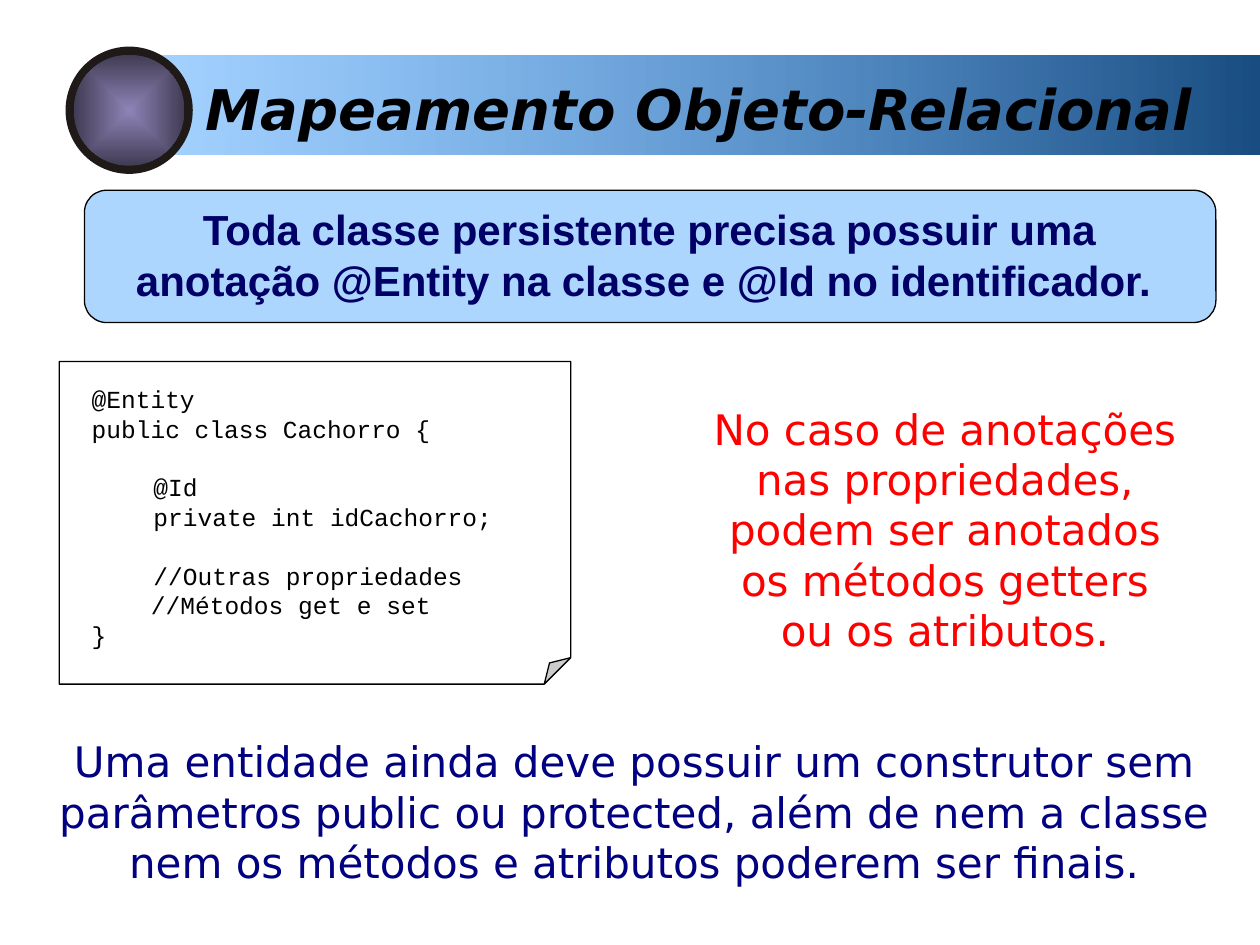
from lxml import etree
from pptx import Presentation
from pptx.dml.color import RGBColor
from pptx.enum.shapes import MSO_SHAPE
from pptx.enum.text import PP_ALIGN
from pptx.oxml import parse_xml
from pptx.oxml.ns import qn
from pptx.util import Inches, Pt

RECT, OVAL = MSO_SHAPE.RECTANGLE, MSO_SHAPE.OVAL
ROUNDED, NOTE = MSO_SHAPE.ROUNDED_RECTANGLE, MSO_SHAPE.FOLDED_CORNER
LEFT, CENTER = PP_ALIGN.LEFT, PP_ALIGN.CENTER

BLACK = RGBColor(0x00, 0x00, 0x00)
WHITE = RGBColor(0xFF, 0xFF, 0xFF)
DEEP_BLUE = RGBColor(0x19, 0x4D, 0x81)
SKY_BLUE = RGBColor(0x33, 0x99, 0xFF)
RING = RGBColor(0x1F, 0x1A, 0x17)
LILAC = RGBColor(0x8E, 0x84, 0xB7)
DARK_PURPLE = RGBColor(0x41, 0x3C, 0x54)
INDIGO = RGBColor(0x00, 0x00, 0x66)
NAVY = RGBColor(0x00, 0x00, 0x80)
RED = RGBColor(0xFF, 0x00, 0x00)

DRAWING_NS = "http://schemas.openxmlformats.org/drawingml/2006/main"
LINE_PITCH = 1.2  # line height as a multiple of the font size
HORIZONTAL = '<a:lin ang="10800000" scaled="0"/>'
FROM_CENTER = ('<a:path path="rect"><a:fillToRect l="50000" t="50000" '
               'r="50000" b="50000"/></a:path>')

TITLE_STYLE = {"name": "DejaVu Sans", "size": Pt(32), "bold": True, "italic": True}
RULE_STYLE = {"name": "Arial", "size": Pt(24), "bold": True}
BODY_STYLE = {"name": "DejaVu Sans", "size": Pt(24)}
CODE_STYLE = {"name": "Courier New", "size": Pt(14)}

# Code lines: text, indent in inches, blank lines before
CODE_LINES = [
    ("@Entity", 0, 0),
    ("public class Cachorro {", 0, 0),
    ("@Id", 0.49, 1),
    ("private int idCachorro;", 0.49, 0),
    ("//Outras propriedades", 0.49, 1),
    ("//Métodos get e set", 0.47, 0),
    ("}", 0, 0),
]


def set_alpha(color_element, percent):
    etree.SubElement(color_element, qn("a:alpha"), val=str(percent * 1000))


def set_corner(shape, percent):
    # The folded corner offers no adjustments, so its guide is written directly
    guides = shape._element.spPr.find(qn("a:prstGeom")).get_or_add_avLst()
    for guide in list(guides):
        guides.remove(guide)
    etree.SubElement(guides, qn("a:gd"), name="adj", fmla=f"val {round(percent * 1000)}")


def set_gradient(shape, start, end, direction, end_alpha=100):
    gradient = parse_xml(
        f'<a:gradFill xmlns:a="{DRAWING_NS}" rotWithShape="1"><a:gsLst>'
        f'<a:gs pos="0"><a:srgbClr val="{start}"/></a:gs>'
        f'<a:gs pos="100000"><a:srgbClr val="{end}"/></a:gs>'
        f'</a:gsLst>{direction}</a:gradFill>')
    if end_alpha < 100:
        set_alpha(gradient.findall(".//" + qn("a:srgbClr"))[-1], end_alpha)
    solid = shape._element.spPr.find(qn("a:solidFill"))
    solid.getparent().replace(solid, gradient)


def add_panel(slide, kind, box, fill, outline=None, corner=None):
    panel = slide.shapes.add_shape(kind, *map(Inches, box))
    panel.shadow.inherit = False
    panel.fill.solid()
    panel.fill.fore_color.rgb = fill
    if outline is None:
        panel.line.fill.background()
    else:
        panel.line.color.rgb = outline
        panel.line.width = Pt(0.75)
    if corner is not None:
        set_corner(panel, corner)
    return panel


def add_text(slide, box, lines, style, color, align=LEFT):
    frame = slide.shapes.add_textbox(*map(Inches, box)).text_frame
    frame.word_wrap = True
    pitch = Pt(style["size"].pt * LINE_PITCH)
    for index, (text, indent, blanks) in enumerate(lines):
        paragraph = frame.paragraphs[0] if index == 0 else frame.add_paragraph()
        paragraph.alignment = align
        paragraph.line_spacing = pitch
        paragraph.space_before = pitch * blanks
        if indent:
            paragraph._p.get_or_add_pPr().set("marL", str(Inches(indent)))
        run = paragraph.add_run()
        run.text = text
        for attribute, value in style.items():
            setattr(run.font, attribute, value)
        run.font.color.rgb = color


def add_header(slide, left, top, width, height):
    band_left, band_top = left + 0.7, top + 0.07
    band = add_panel(slide, RECT, (band_left, band_top, width - 0.7, 0.79), DEEP_BLUE)
    set_gradient(band, DEEP_BLUE, SKY_BLUE, HORIZONTAL, end_alpha=44)
    add_text(slide, (left + 1.01, top + 0.17, width - 1.01, 0.64),
             [("Mapeamento Objeto-Relacional", 0, 0)], TITLE_STYLE, BLACK)
    # Round emblem over the start of the band
    rim = 0.065
    disc_size = height - 2 * rim
    add_panel(slide, OVAL, (left, top, height, height), RING)
    disc = add_panel(slide, OVAL, (left + rim, top + rim, disc_size, disc_size), LILAC)
    set_gradient(disc, LILAC, DARK_PURPLE, FROM_CENTER)


def add_rule(slide, left, top, width, height):
    panel = add_panel(slide, ROUNDED, (left, top, width, height), SKY_BLUE, BLACK, 16.7)
    set_alpha(panel._element.spPr.find(qn("a:solidFill"))[0], 40)
    rule = ("Toda classe persistente precisa possuir uma anotação @Entity "
            "na classe e @Id no identificador. ")
    add_text(slide, (left + 0.09, top + 0.06, width - 0.19, height - 0.15),
             [(rule, 0, 0)], RULE_STYLE, INDIGO, CENTER)


def add_code_note(slide, left, top, width, height):
    add_panel(slide, NOTE, (left, top, width, height), WHITE, BLACK, 8.2)
    add_text(slide, (left + 0.16, top + 0.13, width - 0.16, height - 0.36),
             CODE_LINES, CODE_STYLE, BLACK)


def add_remark(slide, box, text, color):
    add_text(slide, box, [(text, 0, 0)], BODY_STYLE, color, CENTER)


def main():
    deck = Presentation()
    deck.slide_width, deck.slide_height = Inches(10), Inches(7.5)
    slide = deck.slides.add_slide(deck.slide_layouts[6])
    add_header(slide, 0.52, 0.37, 9.48, 1.01)
    add_rule(slide, 0.67, 1.51, 8.98, 1.05)
    add_code_note(slide, 0.47, 2.87, 4.06, 2.56)
    add_remark(slide, (5.55, 3.15, 3.9, 2.1),
               "No caso de anotações nas propriedades, podem ser anotados "
               "os métodos getters ou os atributos.", RED)
    add_remark(slide, (0.31, 5.79, 9.45, 1.3),
               "Uma entidade ainda deve possuir um construtor sem parâmetros "
               "public ou protected, além de nem a classe nem os métodos e "
               "atributos poderem ser finais.", NAVY)
    deck.save("out.pptx")


if __name__ == "__main__":
    main()
